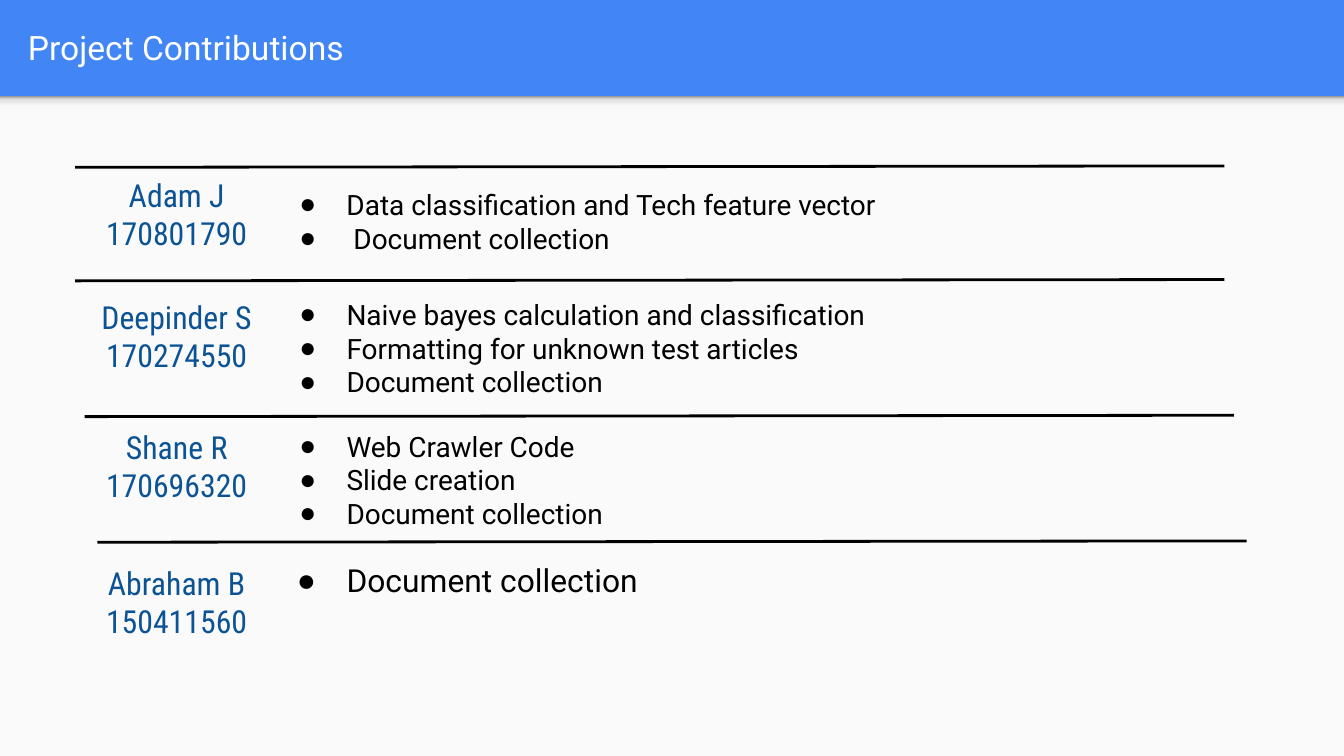
from lxml import etree
from pptx import Presentation
from pptx.dml.color import RGBColor
from pptx.enum.shapes import MSO_CONNECTOR, MSO_SHAPE
from pptx.enum.text import MSO_ANCHOR, MSO_AUTO_SIZE, PP_ALIGN
from pptx.oxml.ns import qn
from pptx.util import Pt

PX = 4572
RECT = MSO_SHAPE.RECTANGLE
STRAIGHT = MSO_CONNECTOR.STRAIGHT
TOP, MIDDLE = MSO_ANCHOR.TOP, MSO_ANCHOR.MIDDLE
LEFT, CENTER = PP_ALIGN.LEFT, PP_ALIGN.CENTER
GROW = MSO_AUTO_SIZE.SHAPE_TO_FIT_TEXT

BLUE, PAPER, WHITE, BLACK, NAVY = "4285F4", "FAFAFA", "FFFFFF", "000000", "0B5394"
SHADE = [(0, "F9F9F9"), (36, "F9F9F9"), (80, "DEDEDE"), (100, "999999")]

MEMBERS = [
    {"name": "Adam J", "number": "170801790", "name_top": 263,
     "tasks": ["Data classification and Tech feature vector", " Document collection"],
     "tasks_box": (396, 259, 1014, 142), "size": 15, "hang": 70},
    {"name": "Deepinder S", "number": "170274550", "name_top": 445,
     "tasks": ["Naive bayes calculation and classification",
               "Formatting for unknown test articles", "Document collection"],
     "tasks_box": (396, 423, 990, 192), "size": 15, "hang": 70},
    {"name": "Shane R", "number": "170696320", "name_top": 638,
     "tasks": ["Web Crawler Code", "Slide creation", "Document collection"],
     "tasks_box": (396, 619, 602, 192), "size": 15, "hang": 70},
    {"name": "Abraham B", "number": "150411560", "name_top": 841,
     "tasks": ["Document collection"],
     "tasks_box": (396, 815, 630, 98), "size": 17, "hang": 74},
]
RULES = [(1822, 247, 112, 249), (1822, 416, 112, 418),
         (1836, 618, 126, 620), (1855, 805, 145, 807)]


def px(*lengths):
    """Turn lengths in px into EMU."""
    return [n * PX for n in lengths]


def rgb(color):
    """Turn a hex string into a colour."""
    return RGBColor.from_string(color)


def add_band(s, box, color=None, stops=()):
    """Add a rectangle with a plain fill or an upward gradient."""
    sp = s.shapes.add_shape(RECT, *px(*box))
    sp.shadow.inherit = False
    sp.line.fill.background()
    if color:
        sp.fill.solid()
        sp.fill.fore_color.rgb = rgb(color)
        return
    sp.fill.gradient()
    sp.fill.gradient_angle = 90
    stop_list = next(sp._element.spPr.iter(qn("a:gsLst")))
    for gs in list(stop_list):
        stop_list.remove(gs)
    for percent, stop_color in stops:
        gs = etree.SubElement(stop_list, qn("a:gs"), pos=str(percent * 1000))
        etree.SubElement(gs, qn("a:srgbClr"), val=stop_color)


def add_bullet(p, hang):
    """Give a paragraph a black round bullet with a hanging indent."""
    pPr = p._p.get_or_add_pPr()
    pPr.set("marL", str(100 * PX))
    pPr.set("indent", str(-hang * PX))
    color = etree.SubElement(pPr, qn("a:buClr"))
    etree.SubElement(color, qn("a:srgbClr"), val=BLACK)
    etree.SubElement(pPr, qn("a:buFont"), typeface="Arial")
    etree.SubElement(pPr, qn("a:buChar"), char="●")


def add_text(s, box, lines, size=17, font="Roboto", color=BLACK,
             align=LEFT, anchor=MIDDLE, hang=0):
    """Add a text box with one paragraph a line, bulleted if hang is set."""
    tf = s.shapes.add_textbox(*px(*box)).text_frame
    tf.word_wrap = True
    tf.vertical_anchor = anchor
    tf.margin_left, tf.margin_top, tf.margin_right, tf.margin_bottom = px(20, 20, 20, 20)
    for i, line in enumerate(lines):
        p = tf.add_paragraph() if i else tf.paragraphs[0]
        p.alignment = align
        if hang:
            add_bullet(p, hang)
        r = p.add_run()
        r.text = line
        r.font.size = Pt(size)
        r.font.name = font
        r.font.color.rgb = rgb(color)
    if hang:
        tf.auto_size = GROW


def add_rule(s, ends):
    """Add a black dividing line."""
    line = s.shapes.add_connector(STRAIGHT, *px(*ends))
    line.line.color.rgb = rgb(BLACK)
    line.line.width = Pt(1.5)
    etree.SubElement(line._element.spPr, qn("a:effectLst"))


def add_member(s, member):
    """Add a member's name and number beside the list of tasks."""
    add_text(s, (22, member["name_top"], 482, 110), [member["name"], member["number"]],
             font="Roboto Condensed", color=NAVY, align=CENTER)
    add_text(s, member["tasks_box"], member["tasks"], size=member["size"],
             anchor=TOP, hang=member["hang"])


def main():
    """Build the slide and save it."""
    prs = Presentation()
    prs.slide_width, prs.slide_height = px(2000, 1125)
    s = prs.slides.add_slide(prs.slide_layouts[6])
    s.background.fill.solid()
    s.background.fill.fore_color.rgb = rgb(BLUE)
    add_band(s, (0, 143, 2000, 982), color=PAPER)
    add_band(s, (0, 143, 2000, 24), stops=SHADE)
    add_text(s, (22, 4, 1930, 132), ["Project Contributions"], size=18, color=WHITE)
    for member in MEMBERS:
        add_member(s, member)
    for ends in RULES:
        add_rule(s, ends)
    prs.save("out.pptx")


if __name__ == "__main__":
    main()
